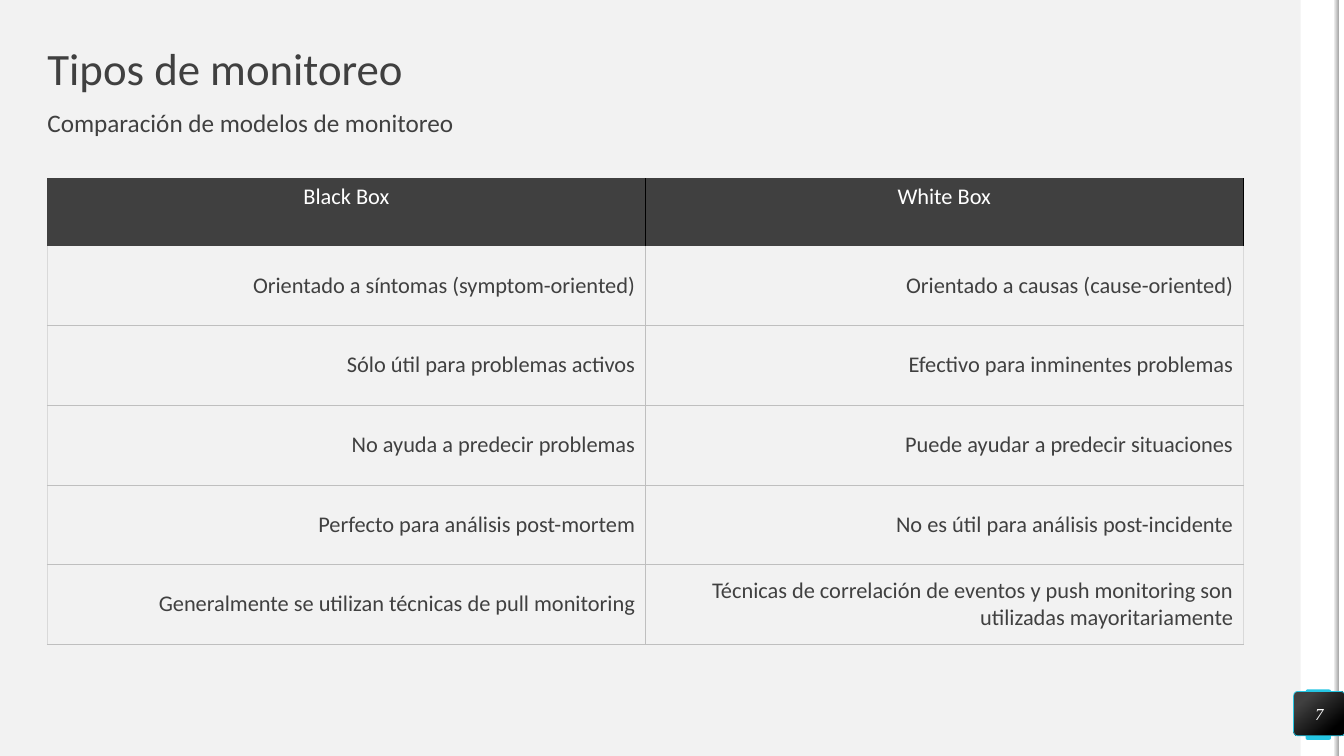
import pptx
import pptx.util
import pptx.dml.color
import pptx.enum.shapes
import pptx.enum.text
import pptx.oxml
import pptx.oxml.ns

Inches = pptx.util.Inches
SHAPE = pptx.enum.shapes.MSO_SHAPE
ALIGN = pptx.enum.text.PP_ALIGN
ANCHOR = pptx.enum.text.MSO_ANCHOR


class Theme:
    back, white, ink, black = "F2F2F2", "FFFFFF", "404040", "000000"
    teal, gray, rule, edge = "25C6E3", "A6A6A6", "BFBFBF", "D9D9D9"
    font, serif = "Calibri", "Times New Roman"
    title, sub, cell, page = 32, 18, 16, 12


def color(code):
    return pptx.dml.color.RGBColor.from_string(code)


class Deck:
    def __init__(self, theme):
        self.theme = theme
        self.file = pptx.Presentation()
        self.file.slide_width = Inches(13.33)
        self.file.slide_height = Inches(7.5)
        self.slide = self.file.slides.add_slide(self.file.slide_layouts[6])
        fill = self.slide.background.fill
        fill.solid()
        fill.fore_color.rgb = color(theme.back)

    def letter(self, frame, text, size, ink, align=ALIGN.LEFT, font=None, italic=None):
        frame.text = text
        para = frame.paragraphs[0]
        para.alignment = align
        for run in para.runs:
            run.font.size = pptx.util.Pt(size)
            run.font.name = font or self.theme.font
            run.font.color.rgb = color(ink)
            run.font.italic = italic
        return para

    def trim(self, frame):
        frame.margin_left = frame.margin_right = 0
        frame.margin_top = frame.margin_bottom = 0
        frame.word_wrap = True

    def label(self, box, text, size, anchor):
        frame = self.slide.shapes.add_textbox(*map(Inches, box)).text_frame
        self.trim(frame)
        frame.vertical_anchor = anchor
        self.letter(frame, text, size, self.theme.ink).line_spacing = 0.9

    def block(self, box, stops, angle=0, round=None, line=None):
        """Stops is one colour, or a list of (position, colour) pairs."""
        kind = SHAPE.RECTANGLE if round is None else SHAPE.ROUNDED_RECTANGLE
        shape = self.slide.shapes.add_shape(kind, *map(Inches, box))
        shape.shadow.inherit = False
        if round is not None:
            shape.adjustments[0] = round
        if isinstance(stops, str):
            shape.fill.solid()
            shape.fill.fore_color.rgb = color(stops)
        else:
            shape.fill.gradient()
            shape.fill.gradient_angle = angle
            for stop, (place, code) in zip(shape.fill.gradient_stops, stops):
                stop.position = place
                stop.color.rgb = color(code)
        if line:
            shape.line.color.rgb = color(line)
            shape.line.width = pptx.util.Pt(0.5)
        else:
            shape.line.fill.background()
        return shape

    def badge(self, box, text):
        theme = self.theme
        stops = [(0.2, theme.ink), (0.82, theme.black)]
        frame = self.block(box, stops, 310, 0.095, theme.teal).text_frame
        self.trim(frame)
        frame.vertical_anchor = ANCHOR.MIDDLE
        self.letter(frame, text, theme.page, theme.white, ALIGN.CENTER, theme.serif, True)

    def border(self, cell, sides):
        """Sides maps L, R, T, B to (colour, points); a missing side is bare."""
        props = cell._tc.get_or_add_tcPr()
        for side in "LRTB":
            code, width = sides.get(side, (None, 0))
            paint = (f'<a:solidFill><a:srgbClr val="{code}"/></a:solidFill>'
                     if code else "<a:noFill/>")
            props.append(pptx.oxml.parse_xml(
                f'<a:ln{side} {pptx.oxml.ns.nsdecls("a")} '
                f'w="{int(pptx.util.Pt(width))}">{paint}</a:ln{side}>'))

    def table(self, box, rows, heights):
        theme = self.theme
        last = len(rows[0]) - 1
        grid = self.slide.shapes.add_table(
            len(rows), last + 1, *map(Inches, box)).table
        grid.first_row = grid.horz_banding = False
        dark, thin, pale = (theme.black, 1), (theme.rule, 0.25), (theme.edge, 1)
        for r, row in enumerate(rows):
            grid.rows[r].height = Inches(heights[r])
            for c, text in enumerate(row):
                cell = grid.cell(r, c)
                if r == 0:
                    sides = {"R": dark}
                    if c:
                        sides["L"] = dark
                    self.border(cell, sides)
                    cell.fill.solid()
                    cell.fill.fore_color.rgb = color(theme.ink)
                    self.letter(cell.text_frame, text, theme.cell, theme.white, ALIGN.CENTER)
                    continue
                sides = {"L": thin if c else pale,
                         "R": pale if c == last else thin, "B": thin}
                if r > 1:
                    sides["T"] = thin
                self.border(cell, sides)
                cell.fill.background()
                cell.vertical_anchor = ANCHOR.MIDDLE
                self.letter(cell.text_frame, text, theme.cell, theme.ink, ALIGN.RIGHT)


def main():
    theme = Theme()
    deck = Deck(theme)

    # Right margin band with its shaded edge
    deck.block((12.9, 0, 0.39, 7.5), theme.white)
    deck.block((12.95, 6.84, 0.25, 0.5), theme.teal, round=0.074)
    deck.block((13.28, 0, 0.05, 7.5), theme.white)
    deck.block((13.23, 0, 0.05, 7.5), [(0, theme.back), (1, theme.gray)])

    # Headings
    deck.label((0.47, 0.47, 12.39, 0.47), "Tipos de monitoreo",
               theme.title, ANCHOR.MIDDLE)
    deck.label((0.47, 1.1, 12.4, 0.39), "Comparación de modelos de monitoreo",
               theme.sub, ANCHOR.TOP)

    # Comparison of both models
    rows = [
        ("Black Box", "White Box"),
        ("Orientado a síntomas (symptom-oriented)", "Orientado a causas (cause-oriented)"),
        ("Sólo útil para problemas activos", "Efectivo para inminentes problemas"),
        ("No ayuda a predecir problemas", "Puede ayudar a predecir situaciones"),
        ("Perfecto para análisis post-mortem", "No es útil para análisis post-incidente"),
        ("Generalmente se utilizan técnicas de pull monitoring",
         "Técnicas de correlación de eventos y push monitoring son "
         "utilizadas mayoritariamente"),
    ]
    deck.table((0.47, 1.77, 11.86, 4.62), rows, [0.67] + [0.79] * 5)

    # Page number
    deck.badge((12.83, 6.86, 0.51, 0.44), "7")

    deck.file.save("out.pptx")


if __name__ == "__main__":
    main()
